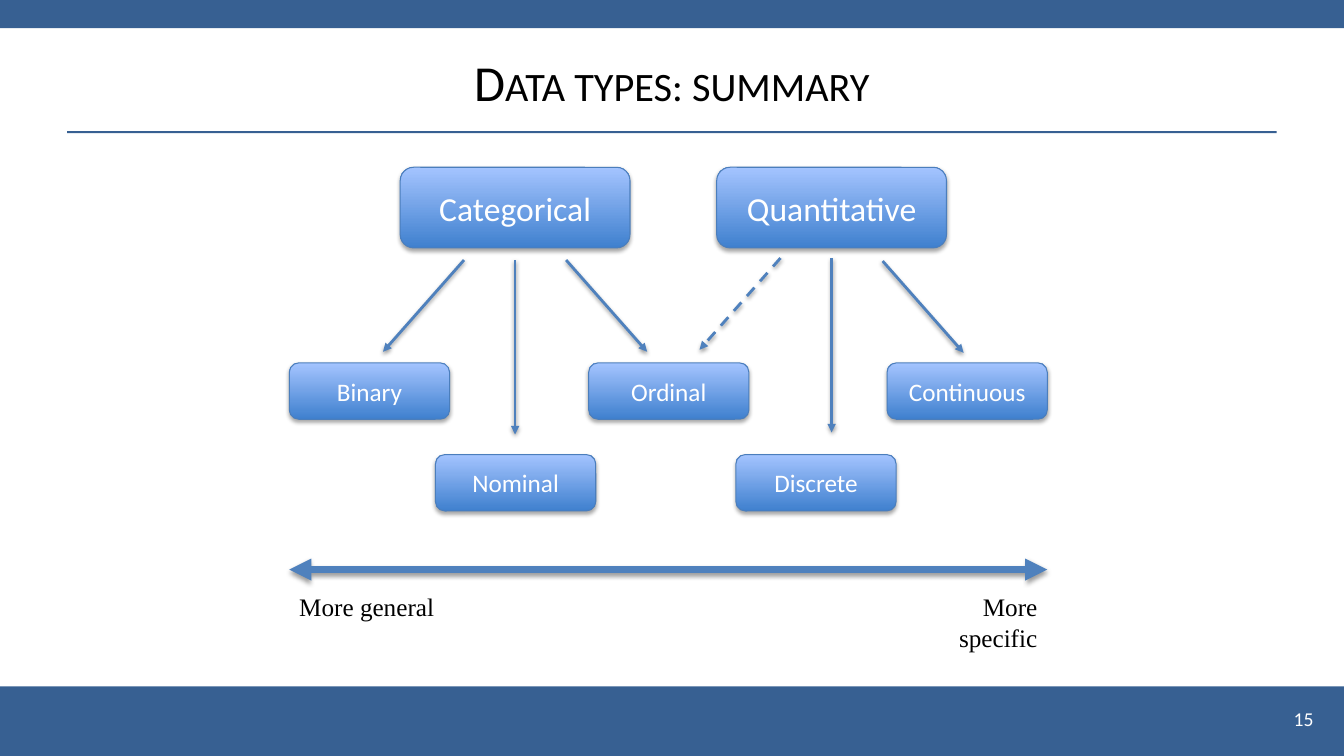
from dataclasses import dataclass

from pptx import Presentation
from pptx import util as u
from pptx.dml.color import RGBColor
from pptx.enum import dml, shapes, text
from pptx.oxml import parse_xml
from pptx.oxml.ns import nsdecls

COLUMNS, ROWS = 40, 30
NAVY, BLUE, EDGE = "376092", "4F81BD", "4B7EBC"
BLACK, WHITE = "000000", "FFFFFF"
LEFT, CENTER, RIGHT = text.PP_ALIGN.LEFT, text.PP_ALIGN.CENTER, text.PP_ALIGN.RIGHT
TOP, MIDDLE = text.MSO_ANCHOR.TOP, text.MSO_ANCHOR.MIDDLE

prs = Presentation()
prs.slide_width, prs.slide_height = u.Inches(13.333), u.Inches(7.5)
slide = prs.slides.add_slide(prs.slide_layouts[6])


@dataclass
class Area:
    """Left, top, width and height in grid columns and rows."""
    col: float
    row: float
    cols: float
    rows: float

    def emu(self) -> tuple[int, int, int, int]:
        return x(self.col), y(self.row), x(self.cols), y(self.rows)


@dataclass
class Node:
    label: str
    area: Area
    size: int


@dataclass
class Branch:
    center: float
    top: float
    side: int
    dashed: bool = False


@dataclass
class Label:
    words: str
    area: Area
    size: int
    font: str
    color: str
    align: text.PP_ALIGN
    anchor: text.MSO_ANCHOR = TOP
    small_caps: bool = False


def x(col: float) -> int:
    return round(prs.slide_width * col / COLUMNS)


def y(row: float) -> int:
    return round(prs.slide_height * row / ROWS)


def rgb(value: str) -> RGBColor:
    return RGBColor.from_string(value)


def add_shadow(sp, opacity: int, distance: float) -> None:
    sp._element.spPr.append(parse_xml(
        f'<a:effectLst {nsdecls("a")}><a:outerShdw blurRad="{u.Pt(3.1)}" '
        f'dist="{u.Pt(distance)}" dir="5400000" rotWithShape="0">'
        f'<a:srgbClr val="{BLACK}"><a:alpha val="{opacity * 1000}"/></a:srgbClr>'
        '</a:outerShdw></a:effectLst>'))


def write(sp, words: str, size: int, font: str, color: str,
          align: text.PP_ALIGN, anchor: text.MSO_ANCHOR) -> None:
    tf = sp.text_frame
    tf.text = words
    tf.word_wrap = True
    tf.vertical_anchor = anchor
    p = tf.paragraphs[0]
    p.alignment = align
    r = p.runs[0]
    r.font.size, r.font.name = u.Pt(size), font
    r.font.color.rgb = rgb(color)


def add_bar(area: Area) -> None:
    sp = slide.shapes.add_shape(shapes.MSO_SHAPE.RECTANGLE, *area.emu())
    sp.shadow.inherit = False
    sp.fill.solid()
    sp.fill.fore_color.rgb = rgb(NAVY)
    sp.line.fill.background()


def add_label(label: Label) -> None:
    sp = slide.shapes.add_textbox(*label.area.emu())
    write(sp, label.words, label.size, label.font, label.color, label.align, label.anchor)
    if label.small_caps:
        sp.text_frame.paragraphs[0].runs[0].font._element.set("cap", "small")


def add_node(node: Node) -> None:
    sp = slide.shapes.add_shape(shapes.MSO_SHAPE.ROUNDED_RECTANGLE, *node.area.emu())
    sp.fill.gradient()
    sp.fill.gradient_angle = 90
    for stop, color in zip(sp.fill.gradient_stops, ("3F80CE", "A4C4FF")):
        stop.color.rgb = rgb(color)
    sp.line.color.rgb = rgb(EDGE)
    sp.line.width = u.Pt(0.75)
    add_shadow(sp, 35, 1.8)
    write(sp, node.label, node.size, "Calibri", WHITE, CENTER, MIDDLE)


def add_arrow(start: tuple[float, float], end: tuple[float, float], width: float,
              dashed: bool = False, both_ends: bool = False) -> None:
    line = slide.shapes.add_connector(shapes.MSO_CONNECTOR.STRAIGHT, x(start[0]),
                                      y(start[1]), x(end[0]), y(end[1]))
    line.line.color.rgb = rgb(BLUE)
    line.line.width = u.Pt(width)
    if dashed:
        line.line.dash_style = dml.MSO_LINE.DASH
    for tag in ("headEnd", "tailEnd") if both_ends else ("tailEnd",):
        line.line._get_or_add_ln().append(
            parse_xml(f'<a:{tag} {nsdecls("a")} type="triangle"/>'))
    add_shadow(line, 38, 1.6)


def add_branch(branch: Branch) -> None:
    drop = 3.64 if branch.side else 6.92
    add_arrow((branch.center + 1.52 * branch.side, branch.top),
              (branch.center + 3.93 * branch.side, branch.top + drop),
              2, branch.dashed)


# Bands and title rule
for bar in (Area(0, 27.24, COLUMNS, 2.76), Area(0, 0, COLUMNS, 1.12),
            Area(2, 5.2, 36, 0.08)):
    add_bar(bar)

# Main types, then their kinds on two staggered rows
parents = [("Categorical", 11.91), ("Quantitative", 21.33)]
kinds = [("Binary", 8.61), ("Nominal", 12.96), ("Ordinal", 17.52),
         ("Discrete", 21.9), ("Continuous", 26.4)]
nodes = [Node(name, Area(col, 6.64, 6.84, 3.2), 24) for name, col in parents]
nodes += [Node(name, Area(col, (14.4, 18.04)[i % 2], 4.77, 2.24), 18)
          for i, (name, col) in enumerate(kinds)]
for node in nodes:
    add_node(node)

# Branches from each main type
for branch in (Branch(15.33, 10.32, -1), Branch(24.75, 10.24, -1, dashed=True),
               Branch(15.33, 10.32, 1), Branch(24.75, 10.36, 1),
               Branch(15.33, 10.32, 0), Branch(24.75, 10.24, 0)):
    add_branch(branch)

# Scale from general to specific
add_arrow((31.17, 22.6), (8.61, 22.6), 5.25, both_ends=True)

# Title, scale ends and slide number
for label in (
    Label("Data types: summary", Area(2, 1.24, 36, 3.96), 36, "Calibri", BLACK,
          CENTER, MIDDLE, small_caps=True),
    Label("More specific", Area(26.46, 23.28, 4.71, 1.6), 18, "Times New Roman", BLACK, RIGHT),
    Label("More general", Area(8.61, 23.28, 4.71, 1.6), 18, "Times New Roman", BLACK, LEFT),
    Label("15", Area(37.26, 27.84, 2.13, 1.6), 14, "Calibri", WHITE, RIGHT),
):
    add_label(label)

prs.save("out.pptx")
